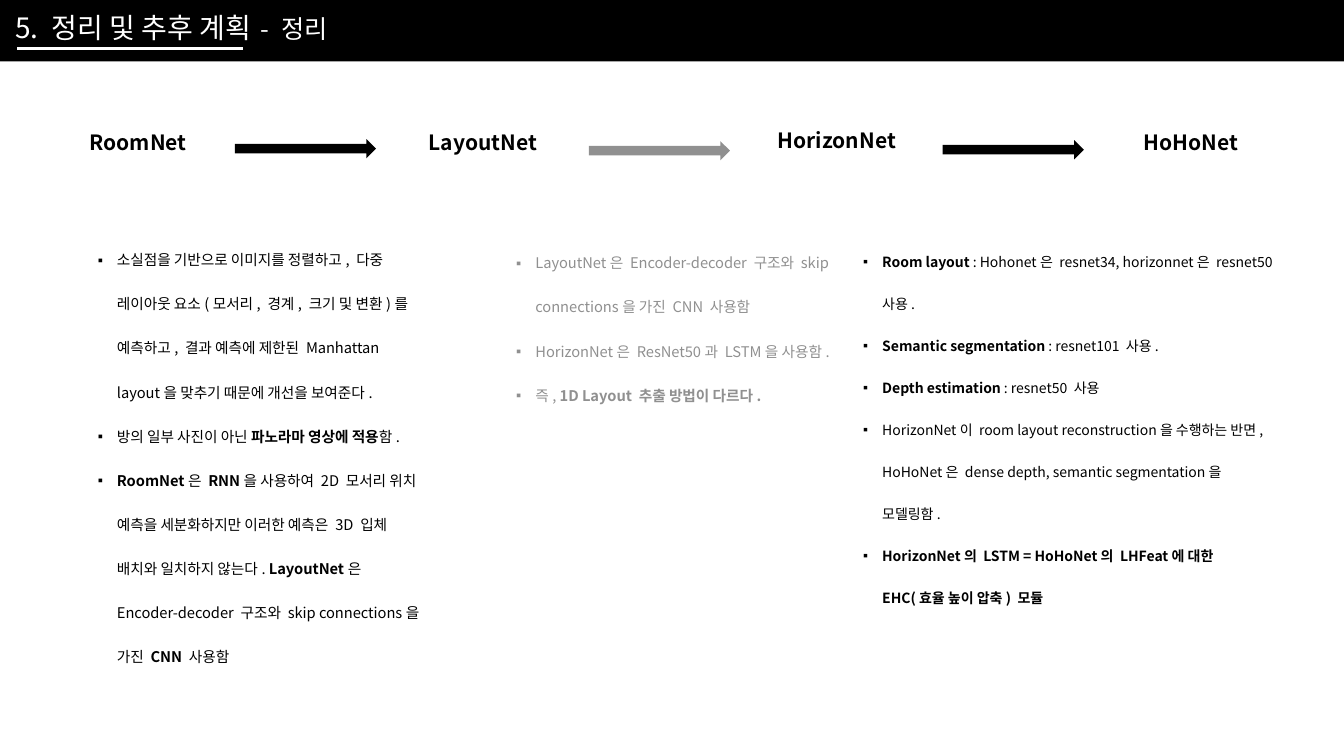
from pptx import Presentation
from pptx.dml.color import RGBColor
from pptx.enum.shapes import MSO_CONNECTOR, MSO_SHAPE
from pptx.enum.text import MSO_ANCHOR, MSO_AUTO_SIZE, PP_ALIGN
from pptx.util import Inches, Pt
from lxml import etree

RECT, ARROW = MSO_SHAPE.RECTANGLE, MSO_SHAPE.RIGHT_ARROW
LINE = MSO_CONNECTOR.STRAIGHT
TOP, NONE = MSO_ANCHOR.TOP, MSO_AUTO_SIZE.NONE
LEFT, MID = PP_ALIGN.LEFT, PP_ALIGN.CENTER
FONT = "Noto Sans CJK KR"
BLACK, WHITE, GREY = "000000", "FFFFFF", "909090"
WIDE, HIGH = 13.33, 7.5
STEP = 3.51  # one column of the model chain

# Content: each list item is a row of (text, bold) runs
HEAD, TAIL = "5. 정리 및 추후 계획", "- 정리"
# name, shift from its column, top, width
NAMES = [
    ("RoomNet", 0.18, 1.24, 1.22),
    ("LayoutNet", 0, 1.24, 1.4),
    ("HorizonNet", 0, 1.22, 1.4),
    ("HoHoNet", 0, 1.24, 1.4),
]
ARROWS = [(1.38, BLACK), (1.4, GREY), (1.39, BLACK)]
ROOM = [
    [("소실점을 기반으로 이미지를 정렬하고, 다중 레이아웃 요소(모서리, 경계, 크기 및 변환)를 "
      "예측하고, 결과 예측에 제한된 Manhattan layout을 맞추기 때문에 개선을 보여준다.", False)],
    [("방의 일부 사진이 아닌 ", False), ("파노라마 영상에 적용", True), ("함.", False)],
    [("RoomNet", True), ("은 ", False), ("RNN", True),
     ("을 사용하여 2D 모서리 위치 예측을 세분화하지만 이러한 예측은 3D 입체 배치와 "
      "일치하지 않는다. ", False),
     ("LayoutNet", True),
     ("은 Encoder-decoder 구조와 skip connections을 가진 ", False),
     ("CNN ", True), ("사용함", False)],
]
LAYOUT = [
    [("LayoutNet은 Encoder-decoder 구조와 skip connections을 가진 CNN 사용함", False)],
    [("HorizonNet은 ResNet50과 LSTM을 사용함.", False)],
    [("즉, ", False), ("1D Layout 추출 방법이 다르다.", True)],
]
HORIZON = [
    [("Room layout", True), (" : Hohonet은 resnet34, horizonnet은 resnet50 사용.", False)],
    [("Semantic segmentation ", True), (": resnet101 사용.", False)],
    [("Depth estimation", True), (" : resnet50 사용", False)],
    [("HorizonNet이 room layout reconstruction을 수행하는 반면, HoHoNet은 dense depth, "
      "semantic segmentation을 모델링함.", False)],
    [("HorizonNet의 LSTM = HoHoNet의 LHFeat에 대한 EHC(효율 높이 압축) 모듈", True)],
]
# placeholder number, items, box, size, colour
LISTS = [
    (1, ROOM, (0.87, 2.18, 3.44, 4.01), 10.5, BLACK),
    (2, LAYOUT, (5.02, 2.21, 3.44, 1.79), 10.5, GREY),
    (3, HORIZON, (8.46, 2.21, 4.29, 3.4), 10, BLACK),
]


def paint(text):
    return RGBColor.from_string(text)


def assign(thing, form):
    for key, val in form.items():
        setattr(thing, key, val)


def add_xml(parent, tag, **attrs):
    space = parent.nsmap["a"]
    return etree.SubElement(parent, f"{{{space}}}{tag}", attrs)


def place(shape, box):
    keys = ("left", "top", "width", "height")
    assign(shape, dict(zip(keys, map(Inches, box))))


def write(shape, items, size, color, align=LEFT, mark=False):
    frame = shape.text_frame
    assign(frame, {"word_wrap": True, "auto_size": NONE, "vertical_anchor": TOP,
                   "margin_left": Inches(0.1), "margin_right": Inches(0.1),
                   "margin_top": Inches(0.05), "margin_bottom": Inches(0.05)})
    for n, item in enumerate(items):
        para = frame.add_paragraph() if n else frame.paragraphs[0]
        assign(para, {"alignment": align, "line_spacing": 2.5 if mark else 1.0,
                      "space_before": Pt(0), "space_after": Pt(0)})
        if mark:
            props = para._p.get_or_add_pPr()
            indent = Inches(0.19)
            props.set("marL", str(indent))
            props.set("indent", str(-indent))
            add_xml(props, "buChar", char="▪")
        for text, bold in item:
            run = para.add_run()
            run.text = text
            assign(run.font, {"size": Pt(size), "bold": bold, "name": FONT})
            run.font.color.rgb = paint(color)
            add_xml(run.font._element, "ea", typeface=FONT)


def add_text(slide, text, box, *style, bold=False):
    shape = slide.shapes.add_textbox(*map(Inches, box))
    write(shape, [[(text, bold)]], *style)


def add_block(slide, kind, box, color):
    shape = slide.shapes.add_shape(kind, *map(Inches, box))
    shape.shadow.inherit = False
    shape.fill.solid()
    shape.fill.fore_color.rgb = paint(color)
    shape.line.fill.background()
    return shape


def main():
    deck = Presentation()
    assign(deck, {"slide_width": Inches(WIDE), "slide_height": Inches(HIGH)})
    slide = deck.slides.add_slide(deck.slide_layouts[4])
    holders = {h.placeholder_format.idx: h for h in slide.placeholders}

    # Header band, sent behind the title
    band = add_block(slide, RECT, (0, 0, WIDE, 0.61), BLACK)
    slide.shapes._spTree.insert(2, band._element)
    place(holders[0], (0.05, 0.05, 2.99, 0.44))
    write(holders[0], [[(HEAD, False)]], 20, WHITE)
    add_text(slide, TAIL, (2.49, 0.08, 1.75, 0.4), 18, WHITE)
    rule = slide.shapes.add_connector(LINE, *map(Inches, (0.17, 0.48, 2.41, 0.48)))
    rule.line.width = Pt(2.25)
    rule.line.color.rgb = paint(WHITE)
    add_xml(rule._element.spPr, "effectLst")

    # Chain of models
    for col, (name, shift, top, width) in enumerate(NAMES):
        box = (0.58 + col * STEP + shift, top, width, 0.35)
        add_text(slide, name, box, 15, BLACK, MID, bold=True)
    for col, (top, color) in enumerate(ARROWS):
        add_block(slide, ARROW, (2.33 + col * STEP, top, 1.4, 0.19), color)

    # Bullet lists
    for num, items, box, size, color in LISTS:
        place(holders[num], box)
        write(holders[num], items, size, color, mark=True)
    spare = holders[4]._element
    spare.getparent().remove(spare)

    deck.save("out.pptx")


if __name__ == "__main__":
    main()
